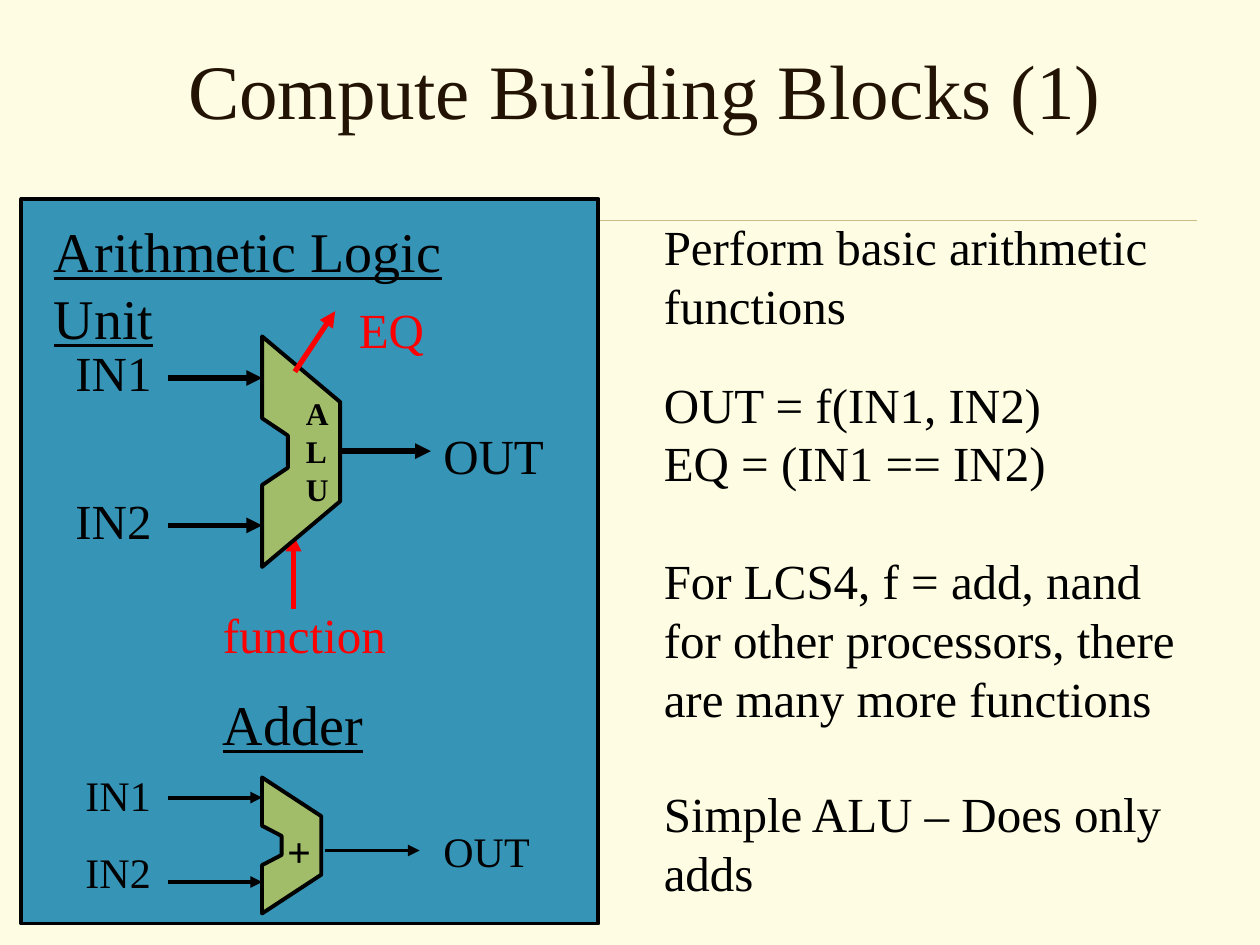
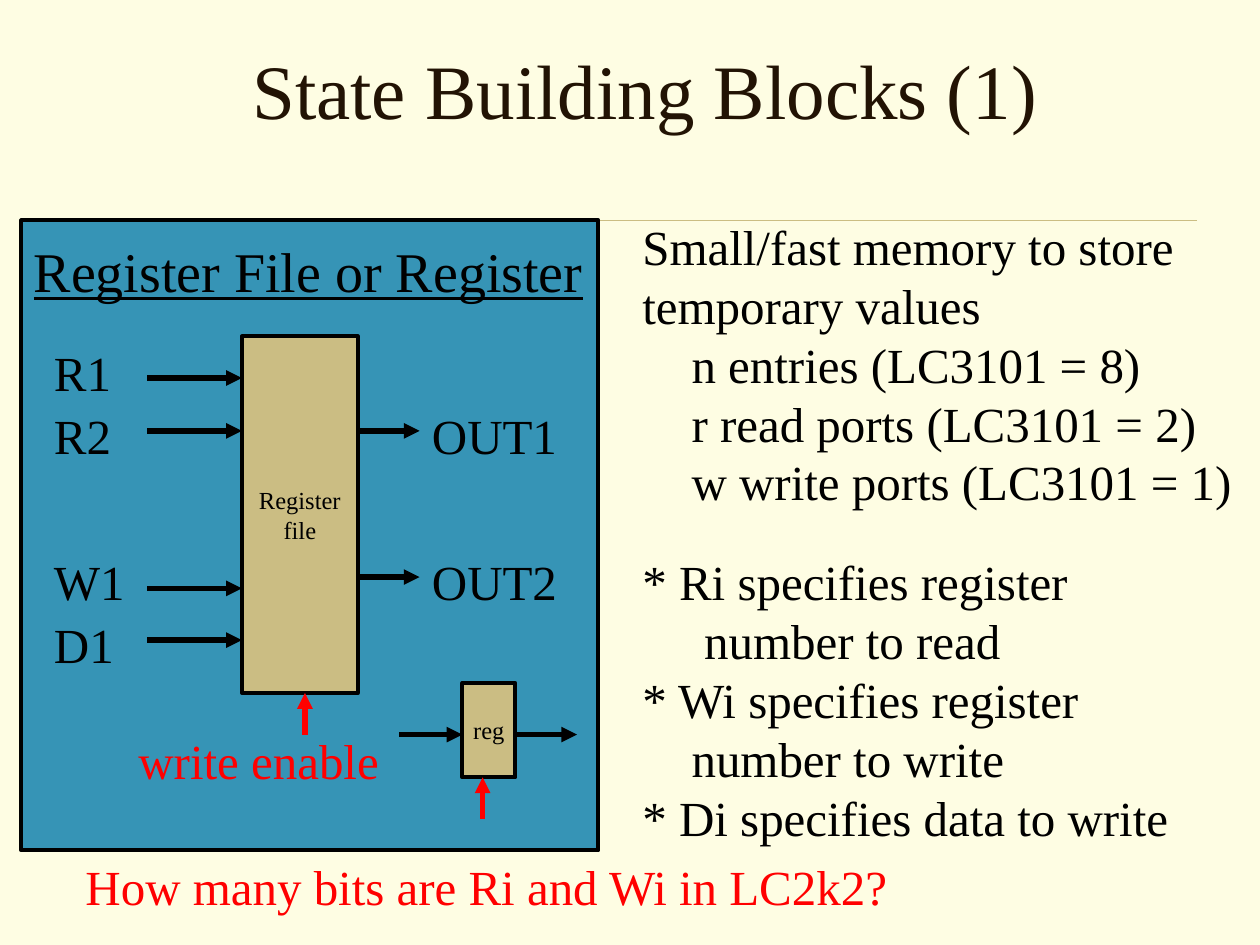
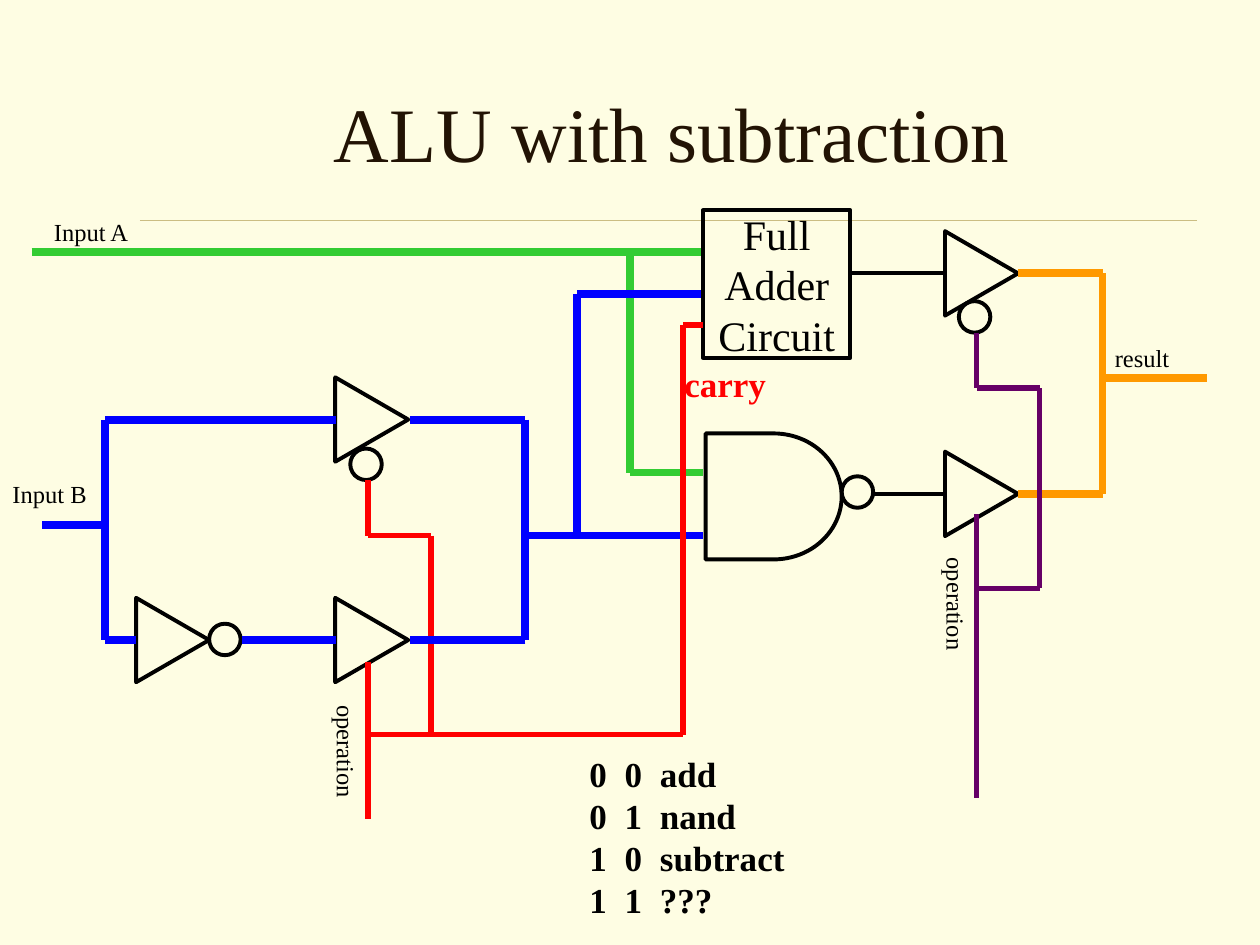
"""Build three slides on ALU, register file and subtraction building blocks."""
from itertools import pairwise

from lxml.etree import SubElement
from pptx import Presentation
from pptx.dml.color import RGBColor
from pptx.enum.shapes import MSO_CONNECTOR, MSO_SHAPE as SHAPE
from pptx.enum.text import MSO_ANCHOR as ANCHOR, MSO_AUTO_SIZE as AUTO, PP_ALIGN as ALIGN
from pptx.oxml.ns import qn
from pptx.util import Inches, Pt

FONT = "Times New Roman"
COLORS = {
    "paper": "FEFDE3", "title": "221304", "rule": "CBBD83", "panel": "3694B6",
    "unit": "A1BD69", "register": "CBBD83", "ink": "000000", "red": "FF0000",
    "green": "33CC33", "blue": "0000FF", "orange": "FF9900", "purple": "660066",
}
UNIT_OUTLINE = [(0, 0), (0, 0.355), (0.33, 0.43), (0.33, 0.57), (0, 0.645),
                (0, 1), (1, 0.715), (1, 0.285)]


def rgb(name):
    """Return the named colour."""
    return RGBColor.from_string(COLORS[name])


def write(tf, lines, size, color="ink", bold=False, underline=False, align=ALIGN.LEFT):
    """Fill a text frame with one paragraph per line."""
    tf.text = "\n".join(lines)
    for p in tf.paragraphs:
        p.alignment = align
        for r in p.runs:
            r.font.name, r.font.size = FONT, Pt(size)
            r.font.bold, r.font.underline = bold, underline
            r.font.color.rgb = rgb(color)


def add_text(s, x, y, w, lines, size=28, wrap=False, gaps=None, **style):
    """Add a text box whose height follows from its lines and paragraph gaps."""
    gaps = gaps or {}
    h = (len(lines) * size * 1.2 + sum(gaps.values())) / 72 + 0.1
    sp = s.shapes.add_textbox(Inches(x), Inches(y), Inches(w), Inches(h))
    tf = sp.text_frame
    write(tf, lines, size, **style)
    tf.word_wrap, tf.auto_size = wrap, AUTO.SHAPE_TO_FIT_TEXT
    for i, gap in gaps.items():
        tf.paragraphs[i].space_before = Pt(gap)
    return sp


def indent(sp, margins):
    """Set the left margin of the paragraphs given by index."""
    for i, margin in margins.items():
        pPr = sp.text_frame.paragraphs[i]._p.get_or_add_pPr()
        pPr.set("marL", str(Inches(margin)))
        pPr.set("indent", "0")


def set_tabs(sp, stops):
    """Give every paragraph the same left tab stops."""
    for p in sp.text_frame.paragraphs:
        tabs = SubElement(p._p.get_or_add_pPr(), qn("a:tabLst"))
        for stop in stops:
            SubElement(tabs, qn("a:tab"), pos=str(Inches(stop)), algn="l")


def paint(sp, fill=None):
    """Give a shape its fill and the black outline."""
    sp.shadow.inherit = False
    if fill:
        sp.fill.solid()
        sp.fill.fore_color.rgb = rgb(fill)
    else:
        sp.fill.background()
    sp.line.color.rgb, sp.line.width = rgb("ink"), Pt(2.25)
    return sp


def add_box(s, x, y, w, h, fill=None, lines=(), size=14, kind=SHAPE.RECTANGLE):
    """Add an outlined preset shape with optional centred text."""
    sp = paint(s.shapes.add_shape(kind, Inches(x), Inches(y), Inches(w), Inches(h)), fill)
    if lines:
        tf = sp.text_frame
        write(tf, lines, size, align=ALIGN.CENTER)
        tf.word_wrap, tf.vertical_anchor = False, ANCHOR.MIDDLE
    return sp


def add_line(s, start, end, color="ink", width=3.0, arrow=False):
    """Add a straight connector, optionally with an arrowhead at its end."""
    points = [Inches(v) for v in (*start, *end)]
    sp = s.shapes.add_connector(MSO_CONNECTOR.STRAIGHT, *points)
    sp.line.color.rgb, sp.line.width = rgb(color), Pt(width)
    if arrow:
        SubElement(sp.line._get_or_add_ln(), qn("a:tailEnd"), type="triangle")
    SubElement(sp._element.spPr, qn("a:effectLst"))


def add_arrow(s, x1, y1, x2, y2, color="ink", width=3.0):
    """Add an arrow."""
    add_line(s, (x1, y1), (x2, y2), color, width, arrow=True)


def add_wire(s, color, width, *points):
    """Run a wire through the points."""
    for start, end in pairwise(points):
        add_line(s, start, end, color, width)


def add_unit(s, x, y, w, h):
    """Add the notched outline of an arithmetic unit."""
    points = [(Inches(x + w * u), Inches(y + h * v)) for u, v in UNIT_OUTLINE]
    builder = s.shapes.build_freeform(*points[0])
    builder.add_line_segments(points[1:], close=True)
    paint(builder.convert_to_shape(), "unit")


def add_buffer(s, cx, cy):
    """Add a buffer triangle pointing right."""
    w, h = 0.67, 0.58
    add_box(s, cx - w / 2, cy - h / 2, w, h, kind=SHAPE.ISOSCELES_TRIANGLE).rotation = 90


def add_bubble(s, x, y):
    """Add an inversion bubble."""
    add_box(s, x, y, 0.25, 0.25, kind=SHAPE.OVAL)


def add_slide(prs, title, x=0.58, y=0.08, w=9.08):
    """Add a slide with the shared rule and title."""
    s = prs.slides.add_slide(prs.slide_layouts[6])
    add_line(s, (1.11, 1.75), (9.5, 1.75), "rule", 0.25)
    sp = s.shapes.add_textbox(Inches(x), Inches(y), Inches(w), Inches(1.25))
    tf = sp.text_frame
    write(tf, [title], 44, "title", align=ALIGN.CENTER)
    tf.word_wrap, tf.vertical_anchor = True, ANCHOR.MIDDLE
    return s


def build_compute(prs):
    """Build the slide on the ALU and the adder."""
    s = add_slide(prs, "Compute Building Blocks (1)")
    add_box(s, 0.17, 1.58, 4.58, 5.75, "panel")

    add_text(s, 0.33, 1.67, 4.1, ["Arithmetic Logic Unit"], 32, wrap=True, underline=True)
    for label, y in (("IN1", 3), ("IN2", 4.17)):
        add_arrow(s, 1.33, y, 2.08, y)
        add_text(s, 0.5, y - 0.33, 0.81, [label])
    add_arrow(s, 2.33, 4.83, 2.33, 4.25, "red")
    add_text(s, 1.67, 4.75, 1.5, ["function"], color="red")
    add_arrow(s, 2.67, 3.58, 3.42, 3.58)
    add_text(s, 3.42, 3.33, 1, ["OUT"])
    add_unit(s, 2.08, 2.67, 0.62, 1.83)
    add_text(s, 2.33, 3.08, 0.38, list("ALU"), 18, bold=True)
    add_arrow(s, 2.34, 2.95, 2.66, 2.47, "red")
    add_text(s, 2.75, 2.33, 0.72, ["EQ"], color="red")

    add_text(s, 1.67, 5.42, 1.31, ["Adder"], 32, underline=True)
    add_unit(s, 2.08, 6.17, 0.47, 1.08)
    add_text(s, 2.18, 6.5, 0.39, ["+"], 24, bold=True)
    for label, y, label_y in (("IN1", 6.33, 6.06), ("IN2", 7, 6.67)):
        add_arrow(s, 1.33, y, 2.08, y, width=2.25)
        add_text(s, 0.58, label_y, 0.72, [label], 24)
    add_arrow(s, 2.58, 6.75, 3.33, 6.75, width=2.25)
    add_text(s, 3.42, 6.5, 0.89, ["OUT"], 24)

    add_text(s, 5.17, 1.67, 4.04, ["Perform basic arithmetic", "functions"])
    add_text(s, 5.17, 2.92, 4.26, [
        "OUT = f(IN1, IN2)", "EQ = (IN1 == IN2)", "For LCS4, f = add, nand",
        "for other processors, there", "are many more functions"], gaps={2: 33.6})
    add_text(s, 5.17, 6.17, 4.18, ["Simple ALU – Does only", "adds"])


def build_state(prs):
    """Build the slide on the register file."""
    s = add_slide(prs, "State Building Blocks (1)")
    add_box(s, 0.17, 1.75, 4.58, 5, "panel")

    add_text(s, 0.17, 1.83, 4.56, ["Register File or Register"], 32, underline=True)
    add_box(s, 1.92, 2.67, 0.92, 2.83, "register", ["Register", "file"])
    inputs = (("R1", 3, 2.67, 0.65), ("R2", 3.42, 3.17, 0.65),
              ("W1", 4.67, 4.33, 0.76), ("D1", 5.08, 4.83, 0.68))
    for label, y, label_y, w in inputs:
        add_arrow(s, 1.17, y, 1.92, y)
        add_text(s, 0.33, label_y, w, [label])
    for label, y in (("OUT1", 3.42), ("OUT2", 4.58)):
        add_arrow(s, 2.83, y, 3.33, y)
        add_text(s, 3.33, y - 0.25, 1.2, [label])
    add_arrow(s, 2.42, 5.83, 2.42, 5.5, "red")
    add_text(s, 1, 5.75, 2.11, ["write enable"], color="red")

    add_box(s, 3.67, 5.42, 0.42, 0.75, "register", ["reg"])
    add_arrow(s, 3.17, 5.83, 3.67, 5.83)
    add_arrow(s, 4.08, 5.83, 4.58, 5.83)
    add_arrow(s, 3.83, 6.5, 3.83, 6.17, "red")

    sp = add_text(s, 5, 1.67, 4.88, [
        "Small/fast memory to store", "temporary values", "n entries (LC3101 = 8)",
        "r read ports (LC3101 = 2)", "w write ports (LC3101 = 1)"])
    indent(sp, {2: 0.39, 3: 0.39, 4: 0.39})
    sp = add_text(s, 5, 4.33, 4.38, [
        "* Ri specifies register", "number to read", "* Wi specifies register",
        "number to write", "* Di specifies data to write"])
    indent(sp, {1: 0.49, 3: 0.39})
    add_text(s, 0.58, 6.75, 6.59, ["How many bits are Ri and Wi in LC2k2?"],
             wrap=True, color="red")


def build_subtraction(prs):
    """Build the circuit slide of the ALU with subtraction."""
    s = add_slide(prs, "ALU with subtraction", 1.17, 0.42, 8.33)

    add_wire(s, "green", 4.5, (0.25, 2), (5.58, 2))
    add_wire(s, "green", 4.5, (5, 2), (5, 3.75), (5.58, 3.75))
    add_wire(s, "blue", 4.5, (4.17, 4.25), (5.58, 4.25))
    add_wire(s, "blue", 4.5, (4.58, 4.25), (4.58, 2.33), (5.58, 2.33))

    add_box(s, 5.58, 1.67, 1.17, 1.17, lines=["Full", "Adder", "Circuit"], size=24)
    add_box(s, 5.6, 3.44, 1.08, 1, kind=SHAPE.FLOWCHART_DELAY)
    add_wire(s, "ink", 2.25, (6.75, 2.17), (7.5, 2.17))
    add_wire(s, "ink", 2.25, (6.92, 3.92), (7.5, 3.92))
    for cx, cy in ((7.79, 2.17), (7.79, 3.92), (2.95, 3.33), (2.95, 5.08), (1.37, 5.08)):
        add_buffer(s, cx, cy)
    for x, y in ((6.68, 3.78), (7.61, 2.39), (2.78, 3.56), (1.66, 4.95)):
        add_bubble(s, x, y)

    add_wire(s, "orange", 4.5, (8.08, 2.17), (8.75, 2.17), (8.75, 3.92), (8.08, 3.92))
    add_wire(s, "orange", 4.5, (8.75, 3), (9.58, 3))
    add_wire(s, "purple", 3, (7.75, 2.64), (7.75, 3.08), (8.25, 3.08),
             (8.25, 4.67), (7.75, 4.67))
    add_wire(s, "purple", 3, (7.75, 4.08), (7.75, 6.33))
    add_wire(s, "red", 3, (2.92, 3.81), (2.92, 4.25), (3.42, 4.25), (3.42, 5.83))
    add_wire(s, "red", 3, (2.92, 5.25), (2.92, 6.5))
    add_wire(s, "blue", 4.5, (2.67, 3.33), (0.83, 3.33), (0.83, 5.08), (1.08, 5.08))
    add_wire(s, "blue", 4.5, (0.83, 4.17), (0.33, 4.17))
    add_wire(s, "blue", 4.5, (1.92, 5.08), (2.67, 5.08))
    add_wire(s, "blue", 4.5, (3.25, 3.33), (4.17, 3.33), (4.17, 5.08), (3.25, 5.08))
    add_wire(s, "red", 3, (2.92, 5.83), (5.42, 5.83), (5.42, 2.58), (5.58, 2.58))

    labels = (("Input A", 0.33, 1.67, 0.8, 0), ("Input B", 0, 3.75, 0.79, 0),
              ("result", 8.75, 2.67, 0.63, 0), ("operation", 7.12, 4.63, 0.94, 90),
              ("operation", 2.28, 5.8, 0.94, 90))
    for label, x, y, w, turn in labels:
        add_text(s, x, y, w, [label], 14).rotation = turn
    sp = add_text(s, 4.58, 5.92, 2, [
        "0\t0\tadd", "0\t1\tnand", "1\t0\tsubtract", "1\t1\t???"], 20, wrap=True, bold=True)
    set_tabs(sp, (0.28, 0.56))
    add_text(s, 5.33, 2.83, 0.85, ["carry"], 20, color="red", bold=True, align=ALIGN.CENTER)


def main():
    """Build and save the presentation."""
    prs = Presentation()
    prs.slide_width, prs.slide_height = Inches(10), Inches(7.5)
    fill = prs.slide_master.background.fill
    fill.solid()
    fill.fore_color.rgb = rgb("paper")
    build_compute(prs)
    build_state(prs)
    build_subtraction(prs)
    prs.save("out.pptx")


if __name__ == "__main__":
    main()
